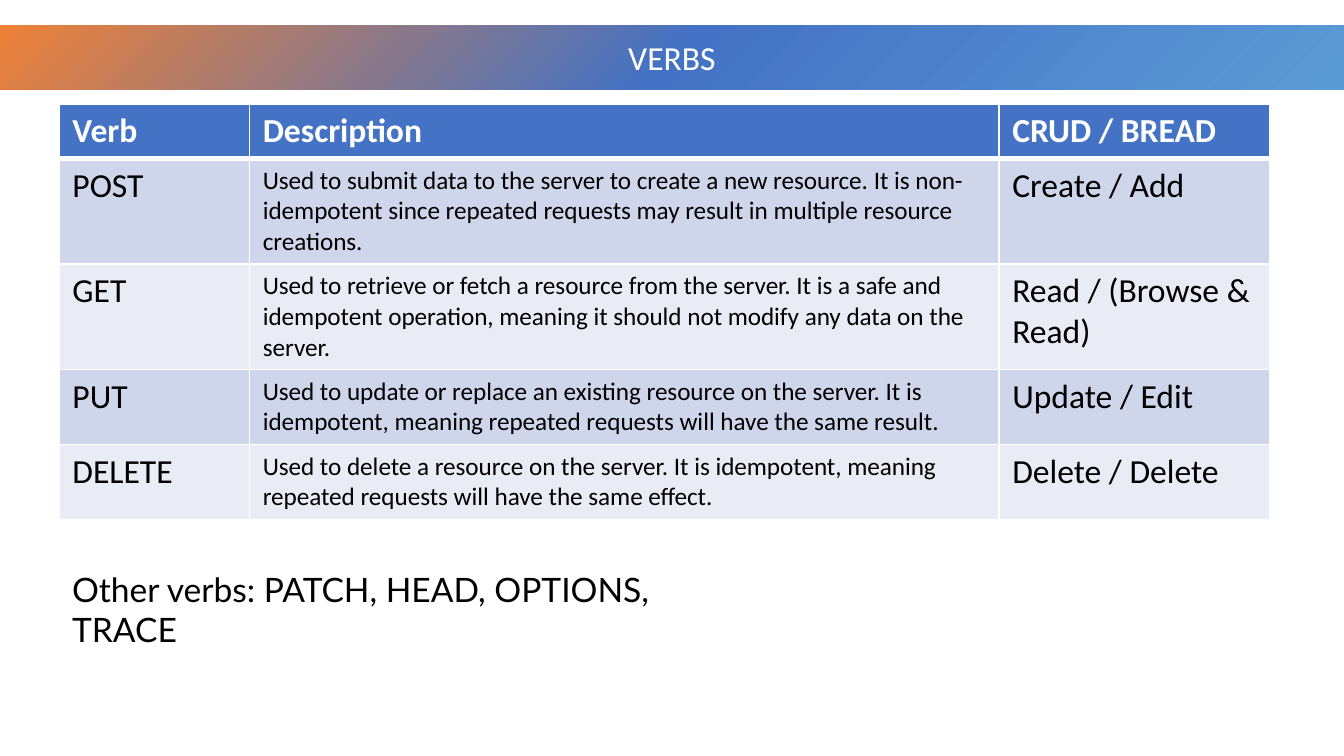
import pptx
import pptx.util
import pptx.oxml
import pptx.oxml.ns
import pptx.dml.color
import pptx.enum.shapes
import pptx.enum.text
from dataclasses import dataclass

Pt = pptx.util.Pt
RGBColor = pptx.dml.color.RGBColor
Align = pptx.enum.text.PP_ALIGN
Anchor = pptx.enum.text.MSO_ANCHOR


@dataclass(frozen=True)
class Theme:
    white: str = "FFFFFF"
    black: str = "000000"
    blue: str = "4472C4"
    light_blue: str = "5B9BD5"
    orange: str = "EE8137"
    bands: tuple = ("CFD5EA", "E9EBF5")
    font: str = "Calibri"
    note_font: str = "Lato"
    size: float = 18
    small: float = 13.5


theme = Theme()


def write(frame, text, size=theme.size, color=theme.black, font=theme.font,
          bold=False, align=Align.LEFT):
    frame.word_wrap = True
    paragraph = frame.paragraphs[0]
    paragraph.alignment = align
    run = paragraph.add_run()
    run.text = text
    run.font.size = Pt(size)
    run.font.name = font
    run.font.bold = bold
    run.font.color.rgb = RGBColor.from_string(color)


def add_border(cell, side, width):
    cell._tc.get_or_add_tcPr().append(pptx.oxml.parse_xml(
        f'<a:ln{side} {pptx.oxml.ns.nsdecls("a")} w="{Pt(width)}"><a:solidFill>'
        f'<a:srgbClr val="{theme.white}"/></a:solidFill></a:ln{side}>'))


presentation = pptx.Presentation()
presentation.slide_width = Pt(720)
presentation.slide_height = Pt(405)
slide = presentation.slides.add_slide(presentation.slide_layouts[6])

# Title band with a gradient spreading from the bottom right corner
band = slide.shapes.add_shape(pptx.enum.shapes.MSO_SHAPE.RECTANGLE,
                              Pt(0), Pt(13.5), Pt(720), Pt(34.5))
band.shadow.inherit = False
band.line.fill.background()
band.fill.gradient()
stops = "".join(
    f'<a:gs pos="{position * 1000}"><a:srgbClr val="{color}"/></a:gs>'
    for position, color in ((0, theme.light_blue), (50, theme.blue), (100, theme.orange)))
gradient = band._element.spPr.find(pptx.oxml.ns.qn("a:gradFill"))
band._element.spPr.replace(gradient, pptx.oxml.parse_xml(
    f'<a:gradFill {pptx.oxml.ns.nsdecls("a")} rotWithShape="1"><a:gsLst>{stops}</a:gsLst>'
    '<a:path path="circle"><a:fillToRect l="100000" t="100000"/></a:path></a:gradFill>'))
band.text_frame.vertical_anchor = Anchor.MIDDLE
write(band.text_frame, "VERBS", color=theme.white, align=Align.CENTER)

# Verb table
rows = [
    ("Verb", "Description", "CRUD / BREAD"),
    ("POST", "Used to submit data to the server to create a new resource. It is "
     "non-idempotent since repeated requests may result in multiple resource creations.",
     "Create / Add"),
    ("GET", "Used to retrieve or fetch a resource from the server. It is a safe and "
     "idempotent operation, meaning it should not modify any data on the server.",
     "Read / (Browse & Read)"),
    ("PUT", "Used to update or replace an existing resource on the server. It is "
     "idempotent, meaning repeated requests will have the same result.",
     "Update / Edit"),
    ("DELETE", "Used to delete a resource on the server. It is idempotent, meaning "
     "repeated requests will have the same effect.",
     "Delete / Delete"),
]
column_widths = (102, 401.5, 145.2)
row_height = 29.2
table = slide.shapes.add_table(len(rows), len(column_widths), Pt(31.6), Pt(55.7),
                               Pt(sum(column_widths)), Pt(row_height * len(rows))).table
for column, width in zip(table.columns, column_widths):
    column.width = Pt(width)

for row_index, texts in enumerate(rows):
    table.rows[row_index].height = Pt(row_height)
    header = row_index == 0
    fill = theme.blue if header else theme.bands[(row_index - 1) % 2]
    for column_index, text in enumerate(texts):
        cell = table.cell(row_index, column_index)
        add_border(cell, "L", 1)
        add_border(cell, "R", 1)
        add_border(cell, "T", 3 if row_index == 1 else 1)
        add_border(cell, "B", 3 if header else 1)
        cell.fill.solid()
        cell.fill.fore_color.rgb = RGBColor.from_string(fill)
        write(cell.text_frame, text, bold=header,
              color=theme.white if header else theme.black,
              size=theme.small if column_index == 1 and not header else theme.size)

# Note below the table
note = slide.shapes.add_textbox(Pt(31.6), Pt(301), Pt(360), Pt(29))
note.text_frame.auto_size = pptx.enum.text.MSO_AUTO_SIZE.SHAPE_TO_FIT_TEXT
write(note.text_frame, "Other verbs: PATCH, HEAD, OPTIONS, TRACE", font=theme.note_font)

presentation.save("out.pptx")
